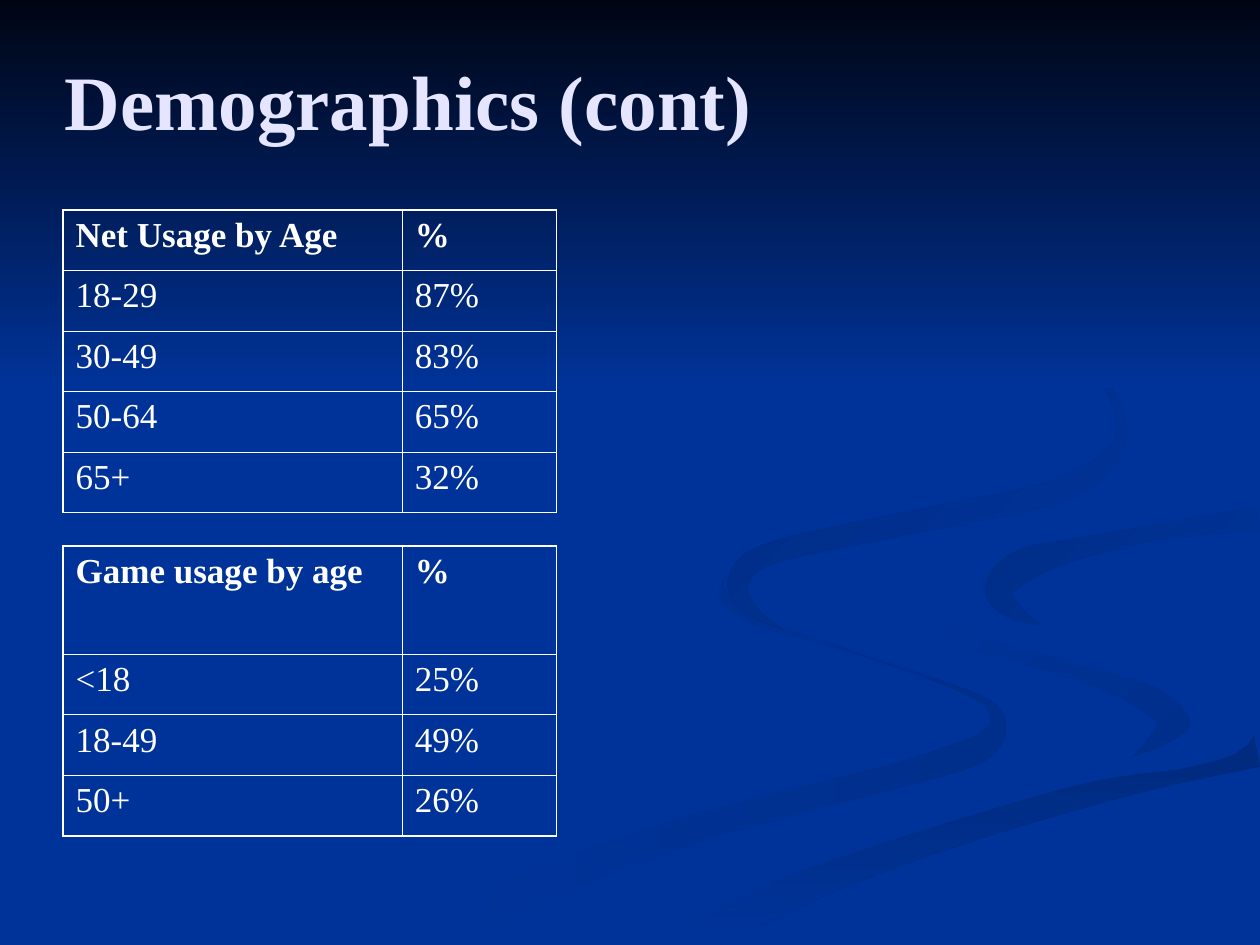
from dataclasses import dataclass
from math import hypot

from lxml.etree import SubElement
from pptx import Presentation
from pptx.dml.color import RGBColor
from pptx.enum.shapes import MSO_SHAPE
from pptx.enum.text import MSO_ANCHOR
from pptx.oxml.ns import qn
from pptx.util import Cm, Pt

BLUE = RGBColor(0x00, 0x33, 0x99)
NIGHT = RGBColor(0x00, 0x05, 0x14)
SOFT_SHADE = RGBColor(0x00, 0x2E, 0x8B)
RIGHT_SHADE = RGBColor(0x00, 0x2D, 0x86)
UPPER_SHADE = RGBColor(0x00, 0x2B, 0x82)
DEEP_SHADE = RGBColor(0x00, 0x2A, 0x7D)
LAVENDER = RGBColor(0xE5, 0xE5, 0xFF)
WHITE = RGBColor(0xFF, 0xFF, 0xFF)

FONT = "Times New Roman"
OUTER_LINE, INNER_LINE = Pt(1.08), Pt(0.45)
STEPS_PER_BEND = 6
ROW_HEIGHT, TALL_HEADER_HEIGHT = Cm(1.22), Cm(2.19)
TABLE_LEFT = Cm(1.27)
COLUMN_WIDTHS = (Cm(6.84), Cm(3.11))

NET_USAGE = [("Net Usage by Age", "%"), ("18-29", "87%"), ("30-49", "83%"),
             ("50-64", "65%"), ("65+", "32%")]
GAME_USAGE = [("Game usage by age", "%"), ("<18", "25%"), ("18-49", "49%"),
              ("50+", "26%")]


@dataclass
class Ribbon:
    """A curved stroke: its shading and its (x, y, thickness) bends in cm."""
    start_color: RGBColor
    end_color: RGBColor
    angle: int
    bends: list


LONG_RIBBON = Ribbon(BLUE, SOFT_SHADE, 0, [
    (14.6, 11.66, 0), (14.6, 12.05, 0.2), (15.24, 12.52, 0.15),
    (17.3, 13.18, 0.04), (19.6, 14, 0.1), (20.1, 14.48, 0.3),
    (20, 14.88, 0.46), (19.5, 15.2, 0.56), (17.83, 15.7, 0.5),
    (13.82, 16.76, 0.58), (9.8, 18.26, 0.8), (8.4, 19, 1.2)])
SHORT_RIBBON = Ribbon(BLUE, SOFT_SHADE, 45, [
    (18.39, 11.79, 0), (19.15, 12.75, 0.22), (22.05, 13.64, 0.36),
    (23.39, 14.22, 0.58), (23.65, 14.61, 0.64), (23.34, 15.04, 0.5),
    (22.71, 15.37, 0)])
LOWER_RIBBON = Ribbon(DEEP_SHADE, BLUE, 90, [
    (25.35, 15.11, 0.7), (22.83, 15.77, 0.48), (19.25, 16.79, 0.53),
    (16.26, 17.86, 0.64), (13.64, 19, 1)])
GROUND_RIBBON = Ribbon(BLUE, BLUE, 0, [
    (25.38, 10.03, 0.38), (21.34, 10.69, 0.36), (19.18, 11.73, 1.4),
    (21.34, 12.98, 0.56), (23.5, 13.51, 0.76), (24.7, 14.4, 1.4),
    (23.88, 15.16, 0.64), (21.41, 15.8, 0.2), (15.88, 17.5, 0.3),
    (12.7, 18.95, 0.6)])
RIGHT_RIBBON = Ribbon(RIGHT_SHADE, BLUE, 45, [
    (25.35, 10.44, 0.46), (23.29, 10.74, 0.32), (21.69, 11.07, 0.44),
    (20.62, 11.4, 0.66), (20.14, 11.87, 0.58), (20.4, 12.29, 0.36),
    (20.98, 12.6, 0)])
UPPER_RIBBON = Ribbon(UPPER_SHADE, BLUE, 45, [
    (19.35, 5.92, 0), (21.44, 7.04, 0.08), (22.3, 7.77, 0.12),
    (22.61, 8.79, 0.2), (22.02, 9.55, 0.43), (20.85, 10.03, 0.46),
    (17.91, 10.62, 0.45), (15.47, 11.18, 0.43), (14.88, 11.75, 0.43),
    (15.14, 12.29, 0.22), (15.8, 12.7, 0)])
RIBBONS = [LONG_RIBBON, SHORT_RIBBON, LOWER_RIBBON, GROUND_RIBBON,
           RIGHT_RIBBON, UPPER_RIBBON]


def blend(before, start, end, after, t):
    """Return the Catmull-Rom value between start and end at t."""
    return (start + t * (end - before) / 2
            + t ** 2 * (before - 2.5 * start + 2 * end - after / 2)
            + t ** 3 * (1.5 * (start - end) + (after - before) / 2))


def smooth(bends):
    """Fill in a smooth curve that passes through all the bends."""
    padded = [bends[0], *bends, bends[-1]]
    curve = []
    for neighbours in zip(padded, padded[1:], padded[2:], padded[3:]):
        for step in range(STEPS_PER_BEND):
            curve.append(tuple(blend(*values, step / STEPS_PER_BEND)
                               for values in zip(*neighbours)))
    return [*curve, bends[-1]]


def ribbon_outline(bends, width, height):
    """Offset the curve to both sides and keep the outline in the box."""
    curve = smooth(bends)
    one_edge, other_edge = [], []
    for index, (x, y, thickness) in enumerate(curve):
        before = curve[max(index - 1, 0)]
        after = curve[min(index + 1, len(curve) - 1)]
        run, rise = after[0] - before[0], after[1] - before[1]
        reach = max(thickness, 0) / 2 / hypot(run, rise)
        for edge, sign in ((one_edge, 1), (other_edge, -1)):
            edge.append((min(Cm(x - sign * reach * rise), width),
                         min(Cm(y + sign * reach * run), height)))
    return one_edge + other_edge[::-1]


def shade(shape, start_color, end_color, angle):
    """Fill a shape with a clockwise-angled gradient and no outline."""
    shape.shadow.inherit = False
    shape.line.fill.background()
    if start_color == end_color:
        shape.fill.solid()
        shape.fill.fore_color.rgb = start_color
        return
    shape.fill.gradient()
    shape.fill.gradient_angle = -angle % 360
    for stop, color in zip(shape.fill.gradient_stops, (start_color, end_color)):
        stop.color.rgb = color


def add_backdrop(slide, left, top, width, height):
    """Draw the blue ground, its ribbons and the dark band at the top."""
    slide.background.fill.solid()
    slide.background.fill.fore_color.rgb = BLUE
    for ribbon in RIBBONS:
        outline = ribbon_outline(ribbon.bends, width, height)
        builder = slide.shapes.build_freeform(*outline[0])
        builder.add_line_segments(outline[1:], close=True)
        shape = builder.convert_to_shape(left, top)
        shade(shape, ribbon.start_color, ribbon.end_color, ribbon.angle)
    band = slide.shapes.add_shape(MSO_SHAPE.RECTANGLE, left, top, width, Cm(7.82))
    shade(band, NIGHT, BLUE, 90)


def style_font(paragraph, size, color, bold):
    """Give every run of a paragraph the slide's typeface."""
    for run in paragraph.runs:
        run.font.name = FONT
        run.font.size = Pt(size)
        run.font.bold = bold
        run.font.color.rgb = color


def add_title(slide, left, top, width, height):
    """Place the slide title in its box."""
    text_frame = slide.shapes.add_textbox(left, top, width, height).text_frame
    text_frame.word_wrap = True
    text_frame.vertical_anchor = MSO_ANCHOR.MIDDLE
    text_frame.text = "Demographics (cont)"
    style_font(text_frame.paragraphs[0], 44, LAVENDER, True)


def add_border(cell, side, width):
    """Draw one white side of a table cell."""
    line = SubElement(cell._tc.get_or_add_tcPr(), qn(f"a:ln{side}"), w=str(width))
    fill = SubElement(line, qn("a:solidFill"))
    SubElement(fill, qn("a:srgbClr"), val=str(WHITE))


def add_usage_table(slide, left, top, header_height, rows):
    """Place a usage table with a heavier outer frame."""
    heights = [header_height] + [ROW_HEIGHT] * (len(rows) - 1)
    table = slide.shapes.add_table(len(rows), len(COLUMN_WIDTHS), left, top,
                                   sum(COLUMN_WIDTHS), sum(heights)).table
    table.horz_banding = table.first_row = False
    for column, width in zip(table.columns, COLUMN_WIDTHS):
        column.width = width
    last_row, last_column = len(rows) - 1, len(COLUMN_WIDTHS) - 1
    for row_index, values in enumerate(rows):
        table.rows[row_index].height = heights[row_index]
        for column_index, value in enumerate(values):
            cell = table.cell(row_index, column_index)
            cell.text_frame.text = value
            style_font(cell.text_frame.paragraphs[0], 20, WHITE, row_index == 0)
            outer_sides = {"L": column_index == 0, "R": column_index == last_column,
                           "T": row_index == 0, "B": row_index == last_row}
            for side, is_outer in outer_sides.items():
                add_border(cell, side, OUTER_LINE if is_outer else INNER_LINE)
            cell.fill.background()


def main():
    """Build and save the demographics slide."""
    presentation = Presentation()
    presentation.slide_width, presentation.slide_height = Cm(25.4), Cm(19.05)
    slide = presentation.slides.add_slide(presentation.slide_layouts[6])
    add_backdrop(slide, 0, 0, presentation.slide_width, presentation.slide_height)
    add_title(slide, Cm(1.06), Cm(0.42), Cm(22.86), Cm(3.18))
    add_usage_table(slide, TABLE_LEFT, Cm(4.23), ROW_HEIGHT, NET_USAGE)
    add_usage_table(slide, TABLE_LEFT, Cm(11), TALL_HEADER_HEIGHT, GAME_USAGE)
    presentation.save("out.pptx")


if __name__ == "__main__":
    main()
